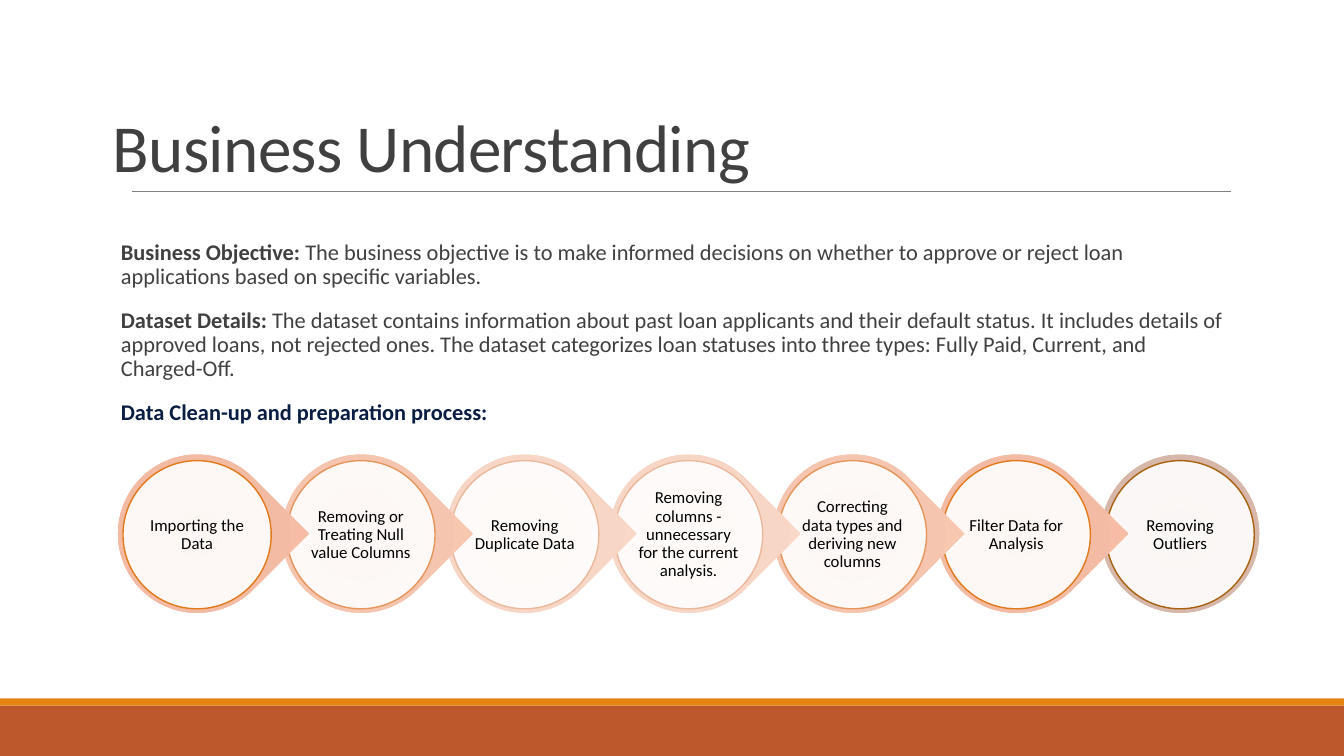
"""Build the Business Understanding slide with its data preparation chain."""
from lxml import etree
from pptx import Presentation
from pptx.dml.color import RGBColor
from pptx.enum import shapes, text
from pptx.oxml import parse_xml
from pptx.oxml.ns import nsdecls, qn
from pptx.util import Inches, Pt


def color(value):
    return RGBColor.from_string(value)


def add_filled_shape(kind, left, top, width, height, fill):
    shape = slide.shapes.add_shape(kind, Inches(left), Inches(top), Inches(width), Inches(height))
    shape.shadow.inherit = False
    shape.fill.solid()
    shape.fill.fore_color.rgb = color(fill)
    shape.line.fill.background()
    return shape


presentation = Presentation()
presentation.slide_width = Inches(13.33)
presentation.slide_height = Inches(7.5)
slide = presentation.slides.add_slide(presentation.slide_layouts[5])

add_filled_shape(shapes.MSO_SHAPE.RECTANGLE, 0, 7, 13.33, 0.5, "BD582C")
add_filled_shape(shapes.MSO_SHAPE.RECTANGLE, 0, 6.93, 13.33, 0.07, "E48312")

rule = slide.shapes.add_connector(
    shapes.MSO_CONNECTOR.STRAIGHT, Inches(1.31), Inches(1.9), Inches(12.21), Inches(1.9))
rule.line.color.rgb = color("808080")
rule.line.width = Pt(0.5)
etree.SubElement(rule.element.spPr, qn("a:effectLst"))

title = slide.shapes.title
title.left, title.top = Inches(1.02), Inches(0.31)
title.width, title.height = Inches(11.18), Inches(1.59)
title.text_frame.text = "Business Understanding"
title.text_frame.vertical_anchor = text.MSO_ANCHOR.BOTTOM
title.text_frame.auto_size = text.MSO_AUTO_SIZE.NONE
paragraph = title.text_frame.paragraphs[0]
paragraph.alignment = text.PP_ALIGN.LEFT
paragraph.line_spacing = 0.85
paragraph.font.name = "Calibri"
paragraph.font.size = Pt(48)
paragraph.font.color.rgb = color("404040")
paragraph.runs[0].font._element.set("spc", "-50")

body_paragraphs = [
    ("Business Objective:",
     " The business objective is to make informed decisions on whether to approve or reject loan "
     "applications based on specific variables.", "404040"),
    ("Dataset Details:",
     " The dataset contains information about past loan applicants and their default status. "
     "It includes details of approved loans, not rejected ones. The dataset categorizes loan "
     "statuses into three types: Fully Paid, Current, and Charged-Off.", "404040"),
    ("Data Clean-up and preparation process:", "", "091E42"),
]
body = slide.shapes.add_textbox(Inches(1.2), Inches(2.34), Inches(11), Inches(2)).text_frame
body.word_wrap = True
body.margin_left = body.margin_right = 0
for index, (heading, detail, ink) in enumerate(body_paragraphs):
    paragraph = body.add_paragraph() if index else body.paragraphs[0]
    paragraph.line_spacing = 0.9
    paragraph.space_before = Pt(12 if index else 0)
    paragraph.space_after = Pt(2)
    paragraph.font.name = "Calibri"
    paragraph.font.size = Pt(16)
    paragraph.font.color.rgb = color(ink)
    run = paragraph.add_run()
    run.text = heading
    run.font.bold = True
    if detail:
        paragraph.add_run().text = detail

strong = ("EFAC92", "F3BAA4", "FBBFA9", "E2791A")
medium = ("F0B99D", "F5C5AF", "FCCAB2", "E6955B")
light = ("F1CAB8", "F7D6C6", "FCD9C8", "ECB89B")
brown = ("CBA696", "D4B5A7", "DCBCAE", "A9610D")
steps = [
    ("Importing the Data", strong),
    ("Removing or Treating Null value Columns", medium),
    ("Removing Duplicate Data", light),
    ("Removing columns - unnecessary for the current analysis.", light),
    ("Correcting data types and deriving new columns", medium),
    ("Filter Data for Analysis", strong),
    ("Removing Outliers", brown),
]
last = len(steps) - 1
for index, (label, (dark, middle, pale, outline)) in reversed(list(enumerate(steps))):
    left = 1.17 + 1.625 * index
    kind = shapes.MSO_SHAPE.OVAL if index == last else shapes.MSO_SHAPE.TEAR
    ring = add_filled_shape(kind, left, 4.51, 1.57, 1.57, middle)
    if index < last:
        ring.rotation = 45
        ring.adjustments[0] = 1
    stops = "".join(
        f'<a:gs pos="{position}"><a:srgbClr val="{value}"/></a:gs>'
        for position, value in ((0, dark), (45000, middle), (100000, pale)))
    gradient = parse_xml(
        f'<a:gradFill {nsdecls("a")} rotWithShape="1"><a:gsLst>{stops}</a:gsLst><a:path path="circle">'
        '<a:fillToRect l="100000" t="100000" r="100000" b="100000"/></a:path></a:gradFill>')
    properties = ring.element.spPr
    properties.replace(properties.find(qn("a:solidFill")), gradient)

    disc = add_filled_shape(shapes.MSO_SHAPE.OVAL, left + 0.05, 4.57, 1.47, 1.47, "FFFFFF")
    white = disc.element.spPr.find(qn("a:solidFill"))[0]
    etree.SubElement(white, qn("a:alpha"), val="90000")
    disc.line.color.rgb = color(outline)
    disc.line.width = Pt(1)
    frame = disc.text_frame
    frame.word_wrap = True
    frame.vertical_anchor = text.MSO_ANCHOR.MIDDLE
    frame.margin_left = frame.margin_right = frame.margin_top = frame.margin_bottom = Inches(0.01)
    frame.text = label
    paragraph = frame.paragraphs[0]
    paragraph.alignment = text.PP_ALIGN.CENTER
    paragraph.line_spacing = 0.9
    paragraph.font.name = "Calibri"
    paragraph.font.size = Pt(12)
    paragraph.font.color.rgb = color("000000")

presentation.save("out.pptx")
